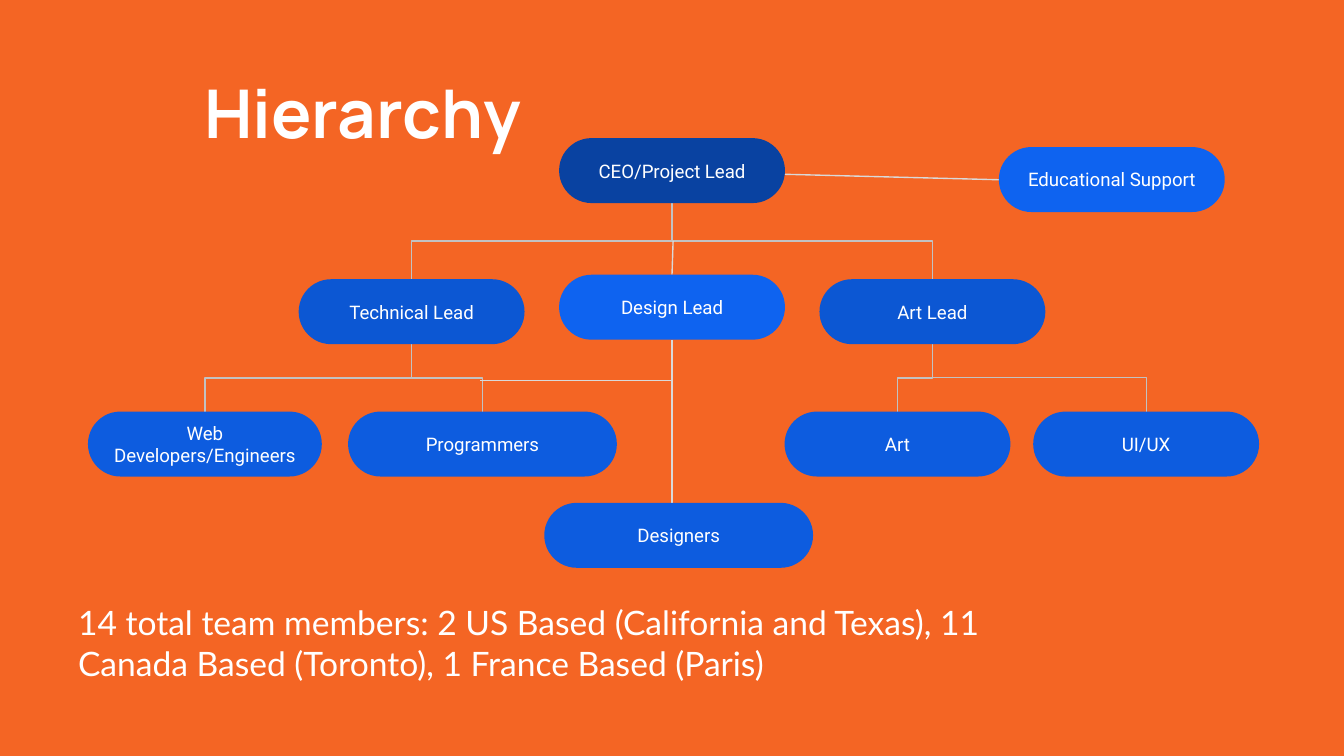
from lxml import etree
from pptx import Presentation
from pptx.dml.color import RGBColor
from pptx.enum.shapes import MSO_CONNECTOR, MSO_SHAPE
from pptx.enum.text import MSO_ANCHOR, MSO_AUTO_SIZE, PP_ALIGN
from pptx.oxml.ns import qn
from pptx.util import Pt

ELBOW, STRAIGHT = MSO_CONNECTOR.ELBOW, MSO_CONNECTOR.STRAIGHT
ROUNDED = MSO_SHAPE.ROUNDED_RECTANGLE
TOP, MIDDLE = MSO_ANCHOR.TOP, MSO_ANCHOR.MIDDLE
LEFT, CENTER = PP_ALIGN.LEFT, PP_ALIGN.CENTER
NO_AUTOFIT = MSO_AUTO_SIZE.NONE

THEME = {
    "background": "F46524",
    "text": "FFFFFF",
    "head": "0942A1",
    "lead": "0C57D3",
    "team": "0D5CDF",
    "bright": "0E63F0",
    "branch": "C2C2C2",
    "link": "D9D9D9",
    "title": ("Manrope", 36, True),
    "body": ("Lato", 18, False),
    "role": ("Roboto", 10, False),
    "line_width": 0.75,
    "inset": 7.2,
}

TITLE = "Hierarchy"
SUMMARY = (
    "14 total team members: 2 US Based (California and Texas), "
    "11 Canada Based (Toronto), 1 France Based (Paris)"
)
ROLE_HEIGHT = 34.8
# name: (centre, top, width, colour)
ROLES = {
    "CEO/Project Lead": (360, 74, 121, "head"),
    "Educational Support": (595.6, 78.8, 121, "bright"),
    "Technical Lead": (220.5, 149.6, 121, "lead"),
    "Design Lead": (360, 147.2, 121, "bright"),
    "Art Lead": (499.5, 149.6, 121, "lead"),
    "Web Developers/Engineers": (109.8, 220.5, 125.3, "team"),
    "Programmers": (258.5, 220.5, 144, "team"),
    "Art": (480.8, 220.5, 121, "team"),
    "UI/UX": (614, 220.5, 121, "team"),
    "Designers": (363.6, 269.4, 144, "team"),
}
BRANCHES = {
    "CEO/Project Lead": ["Technical Lead", "Art Lead"],
    "Technical Lead": ["Web Developers/Engineers", "Programmers"],
    "Art Lead": ["Art", "UI/UX"],
}
LINKS = [
    (360.6, 129, 360, 147.2),
    (360, 182, 360, 269.4),
    (360, 203.7, 257.2, 203.7),
    (535.1, 96.3, 420.5, 93.4),
]


def color(name):
    return RGBColor.from_string(THEME[name])


def write(shape, text, style, alignment, anchor):
    frame = shape.text_frame
    frame.text = text
    frame.word_wrap = True
    frame.auto_size = NO_AUTOFIT
    frame.vertical_anchor = anchor
    frame.margin_left = frame.margin_right = Pt(THEME["inset"])
    frame.margin_top = frame.margin_bottom = Pt(THEME["inset"])
    paragraph = frame.paragraphs[0]
    paragraph.alignment = alignment
    paragraph.space_before = Pt(0)
    font = paragraph.font
    font.name, size, font.bold = THEME[style]
    font.size = Pt(size)
    font.color.rgb = color("text")
    return paragraph


def place(shape, left, top, width, height):
    shape.left, shape.top = Pt(left), Pt(top)
    shape.width, shape.height = Pt(width), Pt(height)


def add_line(slide, kind, ends, line_color):
    connector = slide.shapes.add_connector(kind, *map(Pt, ends))
    connector.line.color.rgb = color(line_color)
    connector.line.width = Pt(THEME["line_width"])
    etree.SubElement(connector._element.spPr, qn("a:effectLst"))
    return connector


def add_branch(slide, parent, child):
    start_x, start_y = ROLES[parent][0], ROLES[parent][1] + ROLE_HEIGHT
    end_x, end_y = ROLES[child][:2]
    middle_x, middle_y = (start_x + end_x) / 2, (start_y + end_y) / 2
    half_width, half_height = (end_y - start_y) / 2, abs(end_x - start_x) / 2
    goes_right = end_x > start_x
    offset = half_width if goes_right else -half_width
    ends = (middle_x + offset, middle_y - half_height,
            middle_x - offset, middle_y + half_height)
    connector = add_line(slide, ELBOW, ends, "branch")
    degrees = 270 if goes_right else 90
    connector._element.spPr.find(qn("a:xfrm")).set("rot", str(degrees * 60000))


def add_role(slide, name):
    center, top, width, fill = ROLES[name]
    shape = slide.shapes.add_shape(
        ROUNDED, Pt(center - width / 2), Pt(top), Pt(width), Pt(ROLE_HEIGHT))
    shape.adjustments[0] = 0.5
    shape.shadow.inherit = False
    shape.fill.solid()
    shape.fill.fore_color.rgb = color(fill)
    shape.line.fill.background()
    write(shape, name, "role", CENTER, MIDDLE)


def main():
    presentation = Presentation()
    presentation.slide_width, presentation.slide_height = Pt(720), Pt(405)
    slide = presentation.slides.add_slide(presentation.slide_layouts[1])
    slide.background.fill.solid()
    slide.background.fill.fore_color.rgb = color("background")

    title, body = slide.placeholders
    place(title, 102.2, 31, 554.4, 72)
    write(title, TITLE, "title", LEFT, TOP)
    place(body, 34.6, 315.4, 554.4, 64)
    properties = write(body, SUMMARY, "body", LEFT, TOP)._p.get_or_add_pPr()
    properties.set("marL", "0")
    properties.set("indent", "0")
    etree.SubElement(properties, qn("a:buNone"))
    properties.append(properties.find(qn("a:defRPr")))

    for parent, children in BRANCHES.items():
        for child in children:
            add_branch(slide, parent, child)
    for ends in LINKS:
        add_line(slide, STRAIGHT, ends, "link")
    for name in ROLES:
        add_role(slide, name)
    presentation.save("out.pptx")


if __name__ == "__main__":
    main()
